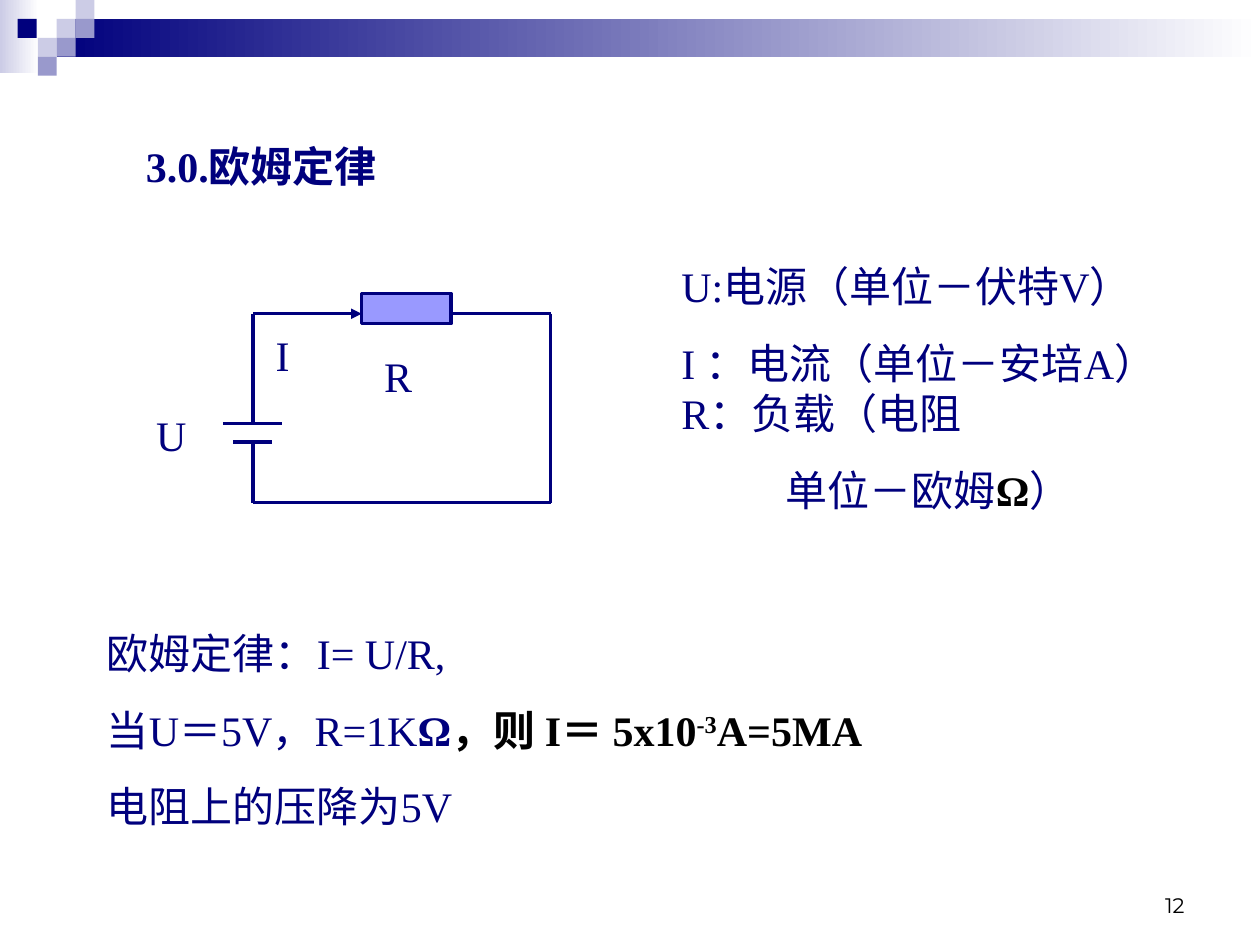
from lxml.etree import SubElement
from pptx import Presentation
from pptx.dml.color import RGBColor
from pptx.enum.shapes import MSO_CONNECTOR as Conn, MSO_SHAPE as Shape
from pptx.enum.text import MSO_ANCHOR as Anchor, PP_ALIGN as Align
from pptx.oxml.ns import qn
from pptx.util import Inches, Pt

COLORS = {"navy": "00007D", "blue": "9999FF", "mid": "9999CC",
          "pale": "CCCCE6", "white": "FFFFFF", "black": "000000"}


def rgb(name):
    return RGBColor.from_string(COLORS[name])


def add_rect(s, x, y, w, h, fill, fade_to=None, line=None):
    sp = s.shapes.add_shape(Shape.RECTANGLE, Inches(x), Inches(y), Inches(w), Inches(h))
    sp.shadow.inherit = False
    if fade_to:
        sp.fill.gradient()
        sp.fill.gradient_angle = 0
        for stop, color, pos in zip(sp.fill.gradient_stops, (fill, fade_to), (0, 1)):
            stop.color.rgb = rgb(color)
            stop.position = pos
    else:
        sp.fill.solid()
        sp.fill.fore_color.rgb = rgb(fill)
    if line:
        sp.line.color.rgb = rgb(line)
        sp.line.width = Pt(2)
    else:
        sp.line.fill.background()


def add_wire(s, x1, y1, x2, y2, arrow=False):
    cn = s.shapes.add_connector(Conn.STRAIGHT, Inches(x1), Inches(y1), Inches(x2), Inches(y2))
    cn.line.color.rgb = rgb("navy")
    cn.line.width = Pt(2)
    if arrow:
        SubElement(cn.line._get_or_add_ln(), qn("a:tailEnd"), type="triangle")
    SubElement(cn._element.spPr, qn("a:effectLst"))


def add_run(p, text, size=24, font="Times New Roman", color="navy", bold=False, raised=0):
    r = p.add_run()
    r.text = text
    r.font.size = Pt(size)
    r.font.name = font
    r.font.bold = bold
    r.font.color.rgb = rgb(color)
    if raised:
        r.font._element.set("baseline", str(raised * 1000))


def add_text(s, x, y, w, h, paragraphs, align=Align.LEFT, anchor=Anchor.TOP,
             before=15, last_indent=0, **fmt):
    """Each paragraph is a list of (text, run format) pairs."""
    tf = s.shapes.add_textbox(Inches(x), Inches(y), Inches(w), Inches(h)).text_frame
    tf.word_wrap = True
    tf.vertical_anchor = anchor
    for i, runs in enumerate(paragraphs):
        p = tf.add_paragraph() if i else tf.paragraphs[0]
        p.alignment = align
        p.space_before = Pt(before)
        for text, own in runs:
            add_run(p, text, **{**fmt, **own})
    if last_indent:
        p._p.get_or_add_pPr().set("marL", str(Inches(last_indent)))


def add_banner(s):
    add_rect(s, 0, 0, 0.31, 0.58, "pale", fade_to="white")
    add_rect(s, 0.45, 0.15, 9.55, 0.3, "navy", fade_to="white")
    for x, y, color in [(0.45, 0.15, "pale"), (0.6, 0, "pale"), (0.6, 0.15, "mid"),
                        (0.3, 0.3, "pale"), (0.14, 0.15, "navy"),
                        (0.45, 0.3, "mid"), (0.3, 0.45, "mid")]:
        add_rect(s, x, y, 0.15, 0.15, color)


def add_circuit(s):
    left, right, top, bottom = 2.01, 4.37, 2.49, 3.99
    plus, minus = 3.36, 3.51
    res_x, res_w = 2.87, 0.71
    # Source and its plates
    add_wire(s, left, top, left, plus)
    add_wire(s, 1.77, plus, 2.24, plus)
    add_wire(s, 1.85, minus, 2.16, minus)
    add_wire(s, left, minus, left, bottom)
    # Return path and resistor
    add_wire(s, left, bottom, right, bottom)
    add_wire(s, right, top, right, bottom)
    add_wire(s, res_x + res_w, top, right, top)
    add_rect(s, res_x, 2.33, res_w, 0.24, "blue", line="navy")
    add_wire(s, left, top, res_x, top, arrow=True)
    # Labels
    for label, x, y, w in [("U", 1.14, 3.2, 0.55), ("I", 2.09, 2.57, 0.63),
                           ("R", 2.95, 2.73, 0.87)]:
        add_text(s, x, y, w, 0.5, [[(label, {})]])


def main():
    prs = Presentation()
    prs.slide_width, prs.slide_height = Inches(10), Inches(7.5)
    s = prs.slides.add_slide(prs.slide_layouts[6])

    add_banner(s)
    add_text(s, 1.06, 1.07, 2.28, 0.5, [[("3.0.欧姆定律", {})]], bold=True)
    add_circuit(s)

    # Quantities and units
    add_text(s, 5.31, 2.02, 4.1, 2.12, [
        [("U:电源（单位－伏特V）", {})],
        [("I ：电流（单位－安培A）R：负载（电阻", {})],
        [("单位－欧姆", {}), ("Ω", {"color": "black", "bold": True}), ("）", {})],
    ], last_indent=0.83)

    # Law and worked example
    strong = {"color": "black", "bold": True}
    add_text(s, 0.75, 4.93, 8.66, 1.72, [
        [("欧姆定律：I= U/R,", {})],
        [("当U＝5V，R=1K", {}), ("Ω", {"bold": True}), ("，则 I＝ 5x10", strong),
         ("-3", {**strong, "raised": 30}), ("A=5MA", strong)],
        [("电阻上的压降为5V", {})],
    ])

    # Page number
    add_text(s, 7.17, 6.83, 2.33, 0.5, [[("12", {})]], align=Align.RIGHT,
             anchor=Anchor.BOTTOM, before=0, size=12, font="Montserrat", color="black")

    prs.save("out.pptx")


if __name__ == "__main__":
    main()
